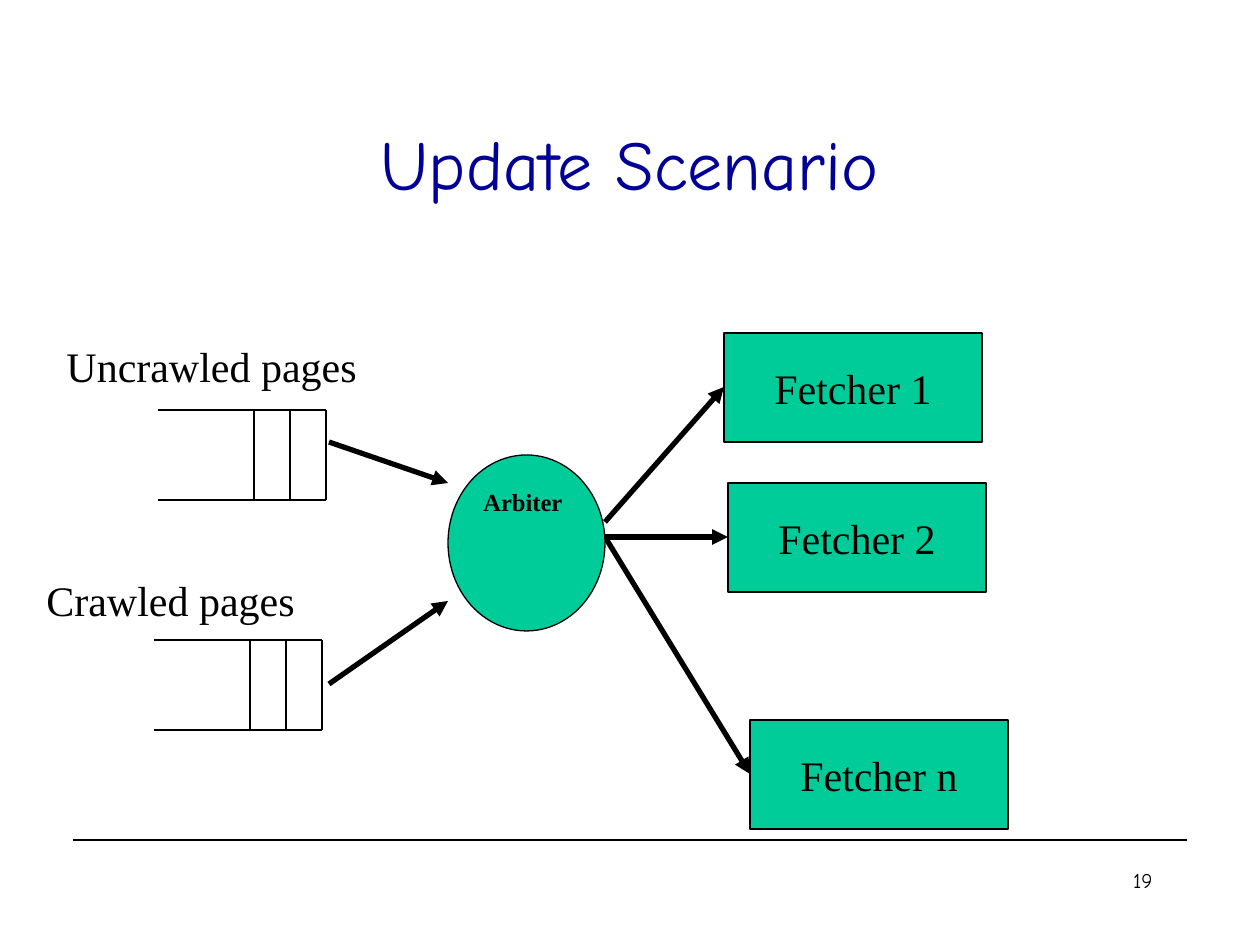
"""Builds the Update Scenario slide: page queues, an arbiter and fetchers."""
from lxml import etree
from pptx import Presentation
from pptx.dml.color import RGBColor
from pptx.enum.shapes import MSO_CONNECTOR, MSO_SHAPE
from pptx.enum.text import MSO_ANCHOR, PP_ALIGN
from pptx.oxml.ns import qn
from pptx.util import Emu, Pt

RECTANGLE, ELLIPSE = MSO_SHAPE.RECTANGLE, MSO_SHAPE.OVAL
STRAIGHT = MSO_CONNECTOR.STRAIGHT
LEFT, CENTER, RIGHT = PP_ALIGN.LEFT, PP_ALIGN.CENTER, PP_ALIGN.RIGHT
TOP, MIDDLE = MSO_ANCHOR.TOP, MSO_ANCHOR.MIDDLE
PIXELS_PER_INCH = 126


def px(length):
    """Turn picture pixels into EMU."""
    return Emu(round(length * 914400 / PIXELS_PER_INCH))


def color(code):
    """Turn a hex string into a colour."""
    return RGBColor.from_string(code)


class Board:
    """Holds the style and the current slide."""

    BLACK, BLUE, GREEN = "000000", "000099", "00CC99"
    SERIF, HAND = "Times New Roman", "Comic Neue"
    THIN, THICK = 0.74, 3

    def __init__(self, page):
        """Keep the slide to draw on."""
        self.page = page

    def add_text(self, box, text, size, font, code, align, anchor, bold=False, wrap=True):
        """Put one formatted run into a shape."""
        frame = box.text_frame
        frame.word_wrap = wrap
        frame.vertical_anchor = anchor
        para = frame.paragraphs[0]
        para.alignment = align
        span = para.add_run()
        span.text = text
        span.font.size = Pt(size)
        span.font.name = font
        span.font.bold = bold
        span.font.color.rgb = color(code)

    def title(self, text, left, top, width, height):
        """Place and fill the title placeholder."""
        box = self.page.shapes.title
        box.left, box.top, box.width, box.height = map(px, (left, top, width, height))
        self.add_text(box, text, 40, self.HAND, self.BLUE, CENTER, MIDDLE)

    def label(self, text, left, top, width, height, size=24, font=SERIF, align=LEFT):
        """Add a plain text box."""
        box = self.page.shapes.add_textbox(*map(px, (left, top, width, height)))
        self.add_text(box, text, size, font, self.BLACK, align, TOP)

    def node(self, kind, text, left, top, width, height, size=24,
             align=CENTER, anchor=MIDDLE, bold=False, wrap=False):
        """Add a green outlined shape with text."""
        box = self.page.shapes.add_shape(kind, *map(px, (left, top, width, height)))
        box.shadow.inherit = False
        box.fill.solid()
        box.fill.fore_color.rgb = color(self.GREEN)
        box.line.color.rgb = color(self.BLACK)
        box.line.width = Pt(self.THIN)
        self.add_text(box, text, size, self.SERIF, self.BLACK, align, anchor, bold, wrap)

    def line(self, start, end, width=THIN, shapes=None):
        """Add a straight black line and return it."""
        shapes = shapes or self.page.shapes
        line = shapes.add_connector(STRAIGHT, *map(px, (*start, *end)))
        line.line.color.rgb = color(self.BLACK)
        line.line.width = Pt(width)
        etree.SubElement(line.element.spPr, qn("a:effectLst"))
        return line

    def arrow(self, start, end):
        """Add a thick line with a triangle at its end."""
        line = self.line(start, end, self.THICK)
        outline = line.element.spPr.get_or_add_ln()
        etree.SubElement(outline, qn("a:tailEnd"), type="triangle")

    def queue(self, left, top, width=168, height=90, cell=36):
        """Add a queue that is open on the left, as one group."""
        shapes = self.page.shapes.add_group_shape().shapes
        right, bottom = left + width, top + height
        for y in (top, bottom):
            self.line((left, y), (right, y), shapes=shapes)
        for step in range(3):
            x = right - step * cell
            self.line((x, top), (x, bottom), shapes=shapes)


def main():
    """Build and save the deck."""
    deck = Presentation()
    deck.slide_width, deck.slide_height = px(1260), px(945)
    board = Board(deck.slides.add_slide(deck.slide_layouts[5]))

    board.line((73, 840), (1187, 840))
    board.label("19", 903, 861, 262, 63, 12, Board.HAND, RIGHT)
    board.title("Update Scenario", 94, 84, 1071, 158)

    fetchers = [("1", 724, 333, (605, 522)),
                ("2", 728, 483, (605, 537)),
                ("n", 750, 720, (605, 537))]
    width, height = 258, 109
    for name, left, top, start in fetchers:
        board.node(RECTANGLE, f"Fetcher {name}", left, top, width, height)
        board.arrow(start, (left, top + height // 2))

    board.node(ELLIPSE, "Arbiter", 448, 455, 157, 176, 14, LEFT, TOP, True, True)

    queues = [("Uncrawled pages", (54, 334, 334, 63), (158, 410), 442, 483),
              ("Crawled pages", (34, 568, 294, 63), (154, 640), 684, 601)]
    for name, place, corner, start, end in queues:
        board.label(name, *place)
        board.queue(*corner)
        board.arrow((329, start), (448, end))

    deck.save("out.pptx")


main()
